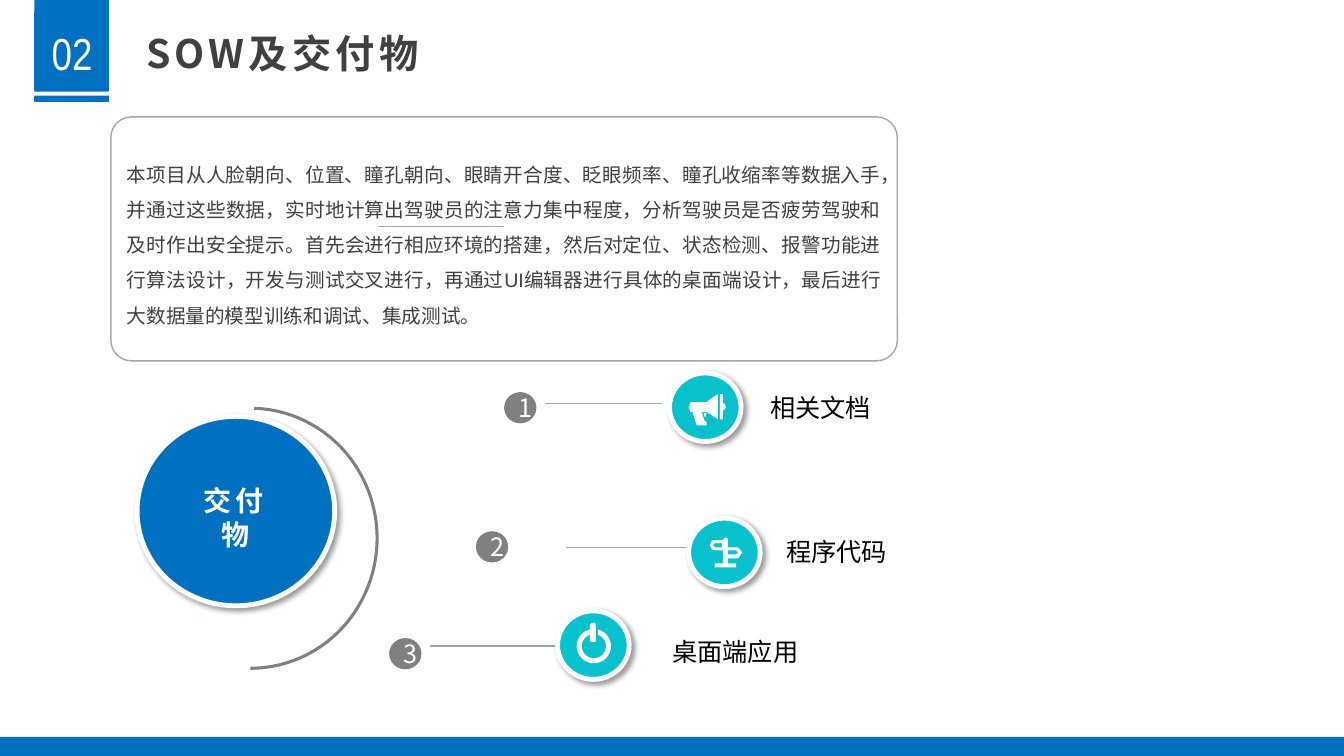
import math
from lxml import etree
from pptx import Presentation
from pptx import util as u
from pptx.dml.color import RGBColor
from pptx.enum import shapes, text
from pptx.oxml import parse_xml
from pptx.oxml.ns import nsdecls, qn

COLORS = {"blue": "0070C0", "teal": "07C1CC", "white": "FFFFFF", "black": "000000",
          "gray": "808080", "ink": "404040", "border": "A6A6A6", "rule": "9DA8B1"}
CJK = "Noto Sans CJK SC"
SHAPE = shapes.MSO_SHAPE
ALIGN = text.PP_ALIGN

SUMMARY = (
    "本项目从人脸朝向、位置、瞳孔朝向、眼睛开合度、眨眼频率、瞳孔收缩率等数据入手，"
    "并通过这些数据，实时地计算出驾驶员的注意力集中程度，分析驾驶员是否疲劳驾驶和"
    "及时作出安全提示。首先会进行相应环境的搭建，然后对定位、状态检测、报警功能进"
    "行算法设计，开发与测试交叉进行，再通过UI编辑器进行具体的桌面端设计，最后进"
    "行大数据量的模型训练和调试、集成测试。")

MEGAPHONE = [
    [(6.85, 3.99), (7.01, 3.99), (7.03, 3.97), (7.12, 3.91), (7.12, 4.16), (7.03, 4.1),
     (7.01, 4.09), (6.96, 4.09), (6.99, 4.18), (7.01, 4.18), (7.01, 4.22), (6.91, 4.22),
     (6.87, 4.09), (6.85, 4.09), (6.83, 4.04)],
    [(7.17, 4), (7.19, 4.01), (7.2, 4.04), (7.19, 4.06), (7.17, 4.07), (7.17, 4.16),
     (7.14, 4.16), (7.14, 3.91), (7.17, 3.91)],
    [(7.01, 4.1), (6.98, 4.1), (6.99, 4.14), (7, 4.14), (7, 4.13)],
]
SIGNPOST = [
    [(7.16, 5.39), (7.09, 5.39), (7.07, 5.41), (7.09, 5.43), (7.16, 5.43)],
    [(7.22, 5.43), (7.31, 5.43), (7.33, 5.44), (7.36, 5.48), (7.33, 5.53), (7.31, 5.54),
     (7.22, 5.54), (7.22, 5.59), (7.3, 5.59), (7.3, 5.63), (7.09, 5.63), (7.09, 5.59),
     (7.17, 5.59), (7.17, 5.46), (7.08, 5.46), (7.06, 5.45), (7.04, 5.41), (7.06, 5.36),
     (7.17, 5.36), (7.17, 5.35), (7.2, 5.33), (7.22, 5.35)],
    [(7.3, 5.46), (7.22, 5.46), (7.22, 5.5), (7.3, 5.5), (7.32, 5.48)],
]
POWER_BAR = [[(5.87, 6.18), (5.9, 6.18), (5.91, 6.2), (5.91, 6.36), (5.9, 6.37),
              (5.87, 6.37), (5.85, 6.36), (5.85, 6.2)]]


def power_ring(cx=5.89, cy=6.41, outer=0.17, inner=0.12, half_gap=0.04, steps=40):
    """Outline of a ring that is open at the top."""
    def arc(radius):
        gap = math.asin(half_gap / radius)
        angles = [gap + (2 * math.pi - 2 * gap) * i / steps for i in range(steps + 1)]
        return [(cx + radius * math.sin(a), cy - radius * math.cos(a)) for a in angles]
    return [arc(outer) + arc(inner)[::-1]]


def color(name):
    return RGBColor.from_string(COLORS[name])


class Deck:
    def __init__(self):
        self.prs = Presentation()
        self.prs.slide_width, self.prs.slide_height = u.Inches(13.33), u.Inches(7.5)
        self.slide = self.prs.slides.add_slide(self.prs.slide_layouts[6])
        self.root = self.shapes = self.slide.shapes

    def group(self):
        """Send the next elements to a new group."""
        self.shapes = self.root.add_group_shape().shapes

    def ungroup(self):
        self.shapes = self.root

    def paint(self, sp, fill=None, line=None, width=1):
        sp.shadow.inherit = False
        if fill:
            sp.fill.solid()
            sp.fill.fore_color.rgb = color(fill)
        else:
            sp.fill.background()
        if line:
            sp.line.color.rgb = color(line)
            sp.line.width = u.Pt(width)
        else:
            sp.line.fill.background()

    def shape(self, kind, box, fill=None, line=None, adj=()):
        sp = self.shapes.add_shape(kind, *map(u.Inches, box))
        for i, value in enumerate(adj):
            sp.adjustments[i] = value
        self.paint(sp, fill, line)
        return sp

    def disc(self, box, fill):
        """Circle with a white rim and a soft shadow."""
        sp = self.shape(SHAPE.OVAL, box, fill)
        self.paint(sp, fill, "white", 3.5)
        effects = sp._element.spPr.find(qn("a:effectLst"))
        effects.append(parse_xml(
            f'<a:outerShdw {nsdecls("a")} blurRad="{u.Pt(4)}" dist="{u.Pt(3)}" '
            f'dir="2700000" algn="tl" rotWithShape="0"><a:srgbClr val="{COLORS["black"]}">'
            '<a:alpha val="40000"/></a:srgbClr></a:outerShdw>'))

    def outline(self, contours):
        scaled = [[(u.Inches(x), u.Inches(y)) for x, y in c] for c in contours]
        builder = self.shapes.build_freeform(*scaled[0][0])
        builder.add_line_segments(scaled[0][1:])
        for contour in scaled[1:]:
            builder.move_to(*contour[0])
            builder.add_line_segments(contour[1:])
        self.paint(builder.convert_to_shape(), "white")

    def line(self, x1, x2, y):
        cn = self.shapes.add_connector(shapes.MSO_CONNECTOR.STRAIGHT,
                                       *map(u.Inches, (x1, y, x2, y)))
        cn.line.color.rgb = color("rule")
        cn.line.width = u.Pt(1)
        etree.SubElement(cn._element.spPr, qn("a:effectLst"))

    def set_text(self, sp, words, size, ink, font=CJK, bold=False, align=ALIGN.LEFT,
                 leading=None, tracking=0):
        p = sp.text_frame.paragraphs[0]
        p.alignment = align
        if leading:
            p.line_spacing = leading
        r = p.add_run()
        r.text = words
        p.font.size, p.font.name, p.font.bold = u.Pt(size), font, bold
        p.font.color.rgb = color(ink)
        rpr = r._r.get_or_add_rPr()
        if tracking:
            rpr.set("spc", str(tracking * 100))
        etree.SubElement(rpr, qn("a:ea")).set("typeface", CJK)

    def label(self, box, words, size, ink, wrap=True, **style):
        sp = self.shapes.add_textbox(*map(u.Inches, box))
        sp.text_frame.word_wrap = wrap
        self.set_text(sp, words, size, ink, **style)


def main():
    deck = Deck()
    deck.group()
    deck.shape(SHAPE.ROUNDED_RECTANGLE, (0.34, -0.05, 0.74, 0.96), "blue", adj=[0.018])
    deck.label((0.32, 0.21, 0.79, 0.64), "02", 32, "white", font="Arial Narrow",
               align=ALIGN.CENTER)
    deck.shape(SHAPE.ROUNDED_RECTANGLE, (0.34, 0.95, 0.74, 0.06), "blue", adj=[0.018])
    deck.ungroup()
    deck.shape(SHAPE.RECTANGLE, (0, 7.31, 13.33, 0.19), "blue")

    summary = deck.shape(SHAPE.ROUNDED_RECTANGLE, (1.1, 1.16, 7.8, 2.42), line="border",
                         adj=[0.084])
    deck.set_text(summary, SUMMARY, 14, "ink", font="Arial", align=ALIGN.JUSTIFY,
                  leading=1.5)
    deck.label((1.35, 0.24, 3.21, 0.57), "SOW及交付物", 28, "ink", bold=True, tracking=3)

    arc = deck.shape(SHAPE.BLOCK_ARC, (1.18, 4.07, 2.61, 2.54), "gray",
                     adj=[108.972, 0.07, 0.012])
    arc.rotation = 90
    for x1, x2, y in [(3.75, 5, 2.25), (4.26, 5.51, 6.41), (5.41, 6.57, 4),
                      (5.61, 6.86, 5.43)]:
        deck.line(x1, x2, y)
    deck.disc((1.36, 4.13, 1.96, 1.88), "blue")

    for number, (x, y) in enumerate([(5, 3.89), (4.72, 5.27), (3.86, 6.33)], 1):
        badge = deck.shape(SHAPE.OVAL, (x, y, 0.32, 0.31), "gray")
        deck.set_text(badge, str(number), 18, "white", align=ALIGN.CENTER)

    for x, y, parts in [(5.53, 6.06, [power_ring(), POWER_BAR]),
                        (6.64, 3.7, [MEGAPHONE]), (6.83, 5.14, [SIGNPOST])]:
        deck.group()
        deck.disc((x, y, 0.71, 0.68), "teal")
        for part in parts:
            deck.outline(part)
    deck.ungroup()

    deck.label((1.8, 4.75, 1.08, 0.77), "交付物", 20, "white", bold=True,
               align=ALIGN.CENTER, tracking=3)
    for x, y, width, words in [(7.54, 3.84, 1.2, "相关文档"), (7.7, 5.27, 1.2, "程序代码"),
                               (6.57, 6.26, 1.45, "桌面端应用")]:
        deck.label((x, y, width, 0.4), words, 18, "black", wrap=False)
    deck.prs.save("out.pptx")


if __name__ == "__main__":
    main()
